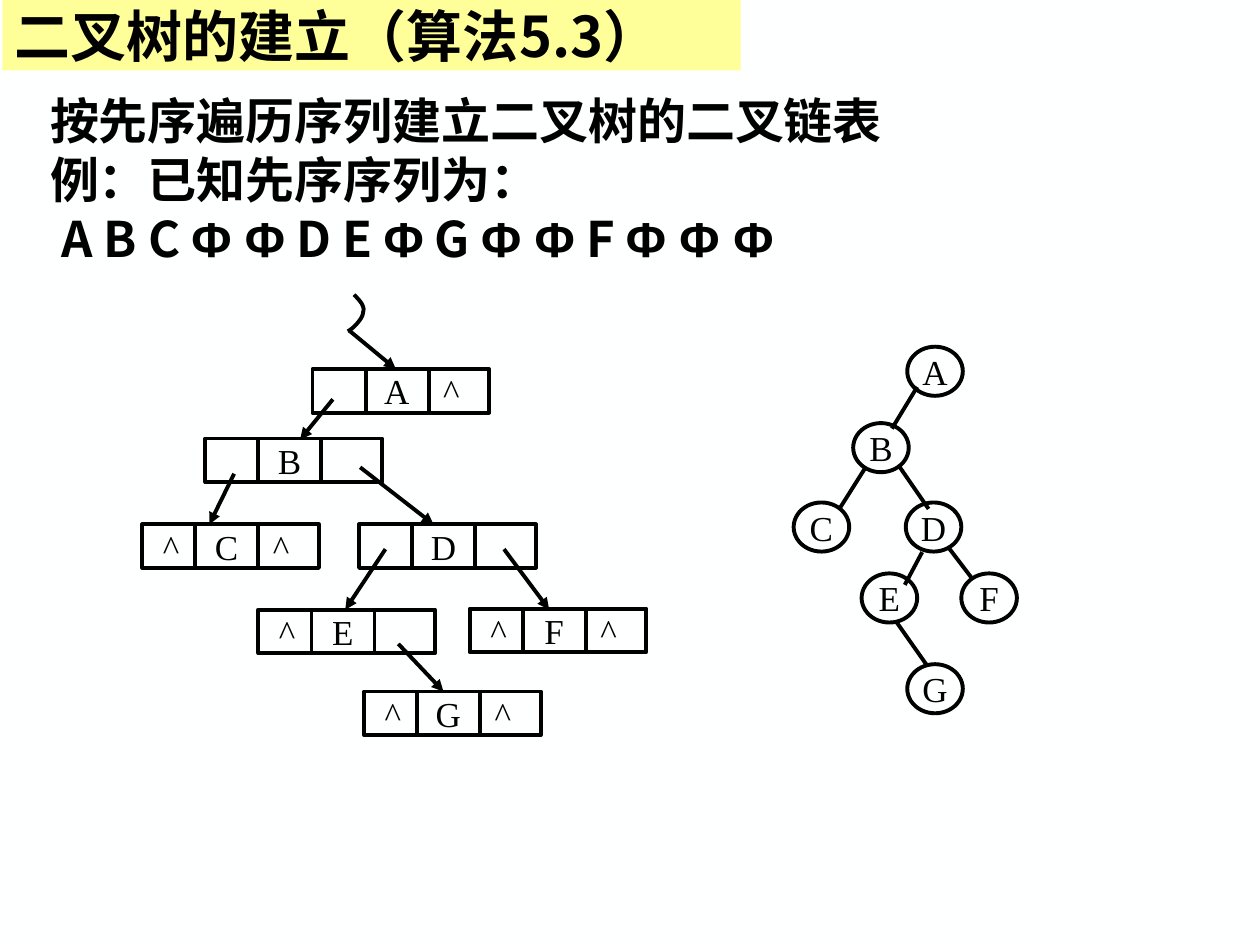
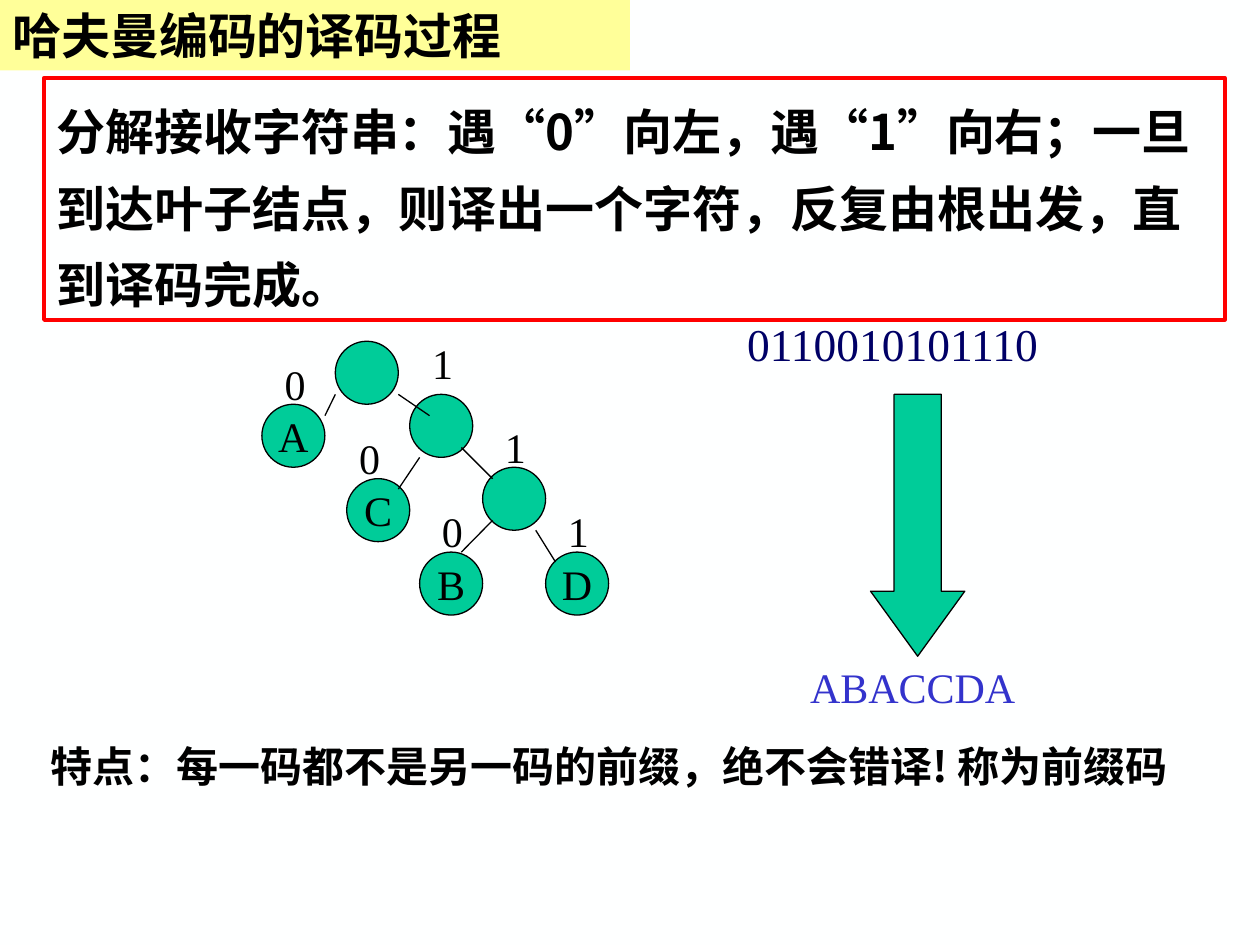
import itertools

import lxml.etree
import pptx
import pptx.dml.color
import pptx.enum.shapes
import pptx.enum.text
import pptx.oxml.ns
import pptx.util

Cm = pptx.util.Cm
Pt = pptx.util.Pt
RGBColor = pptx.dml.color.RGBColor
ALIGN = pptx.enum.text.PP_ALIGN
ANCHOR = pptx.enum.text.MSO_ANCHOR
SHAPE = pptx.enum.shapes.MSO_SHAPE
qn = pptx.oxml.ns.qn

BACKGROUND = RGBColor(0xFE, 0xFF, 0xFF)
BLACK = RGBColor(0, 0, 0)
BAND = RGBColor(0xFF, 0xFF, 0x99)
GREEN = RGBColor(0x00, 0xCC, 0x99)
RED = RGBColor(0xFF, 0, 0)
NAVY = RGBColor(0, 0, 0x66)
BLUE = RGBColor(0x33, 0x33, 0xCC)

CHINESE = "Noto Sans CJK SC"
SERIF = "Times New Roman"
SYMBOL = "Arial"
THICK, THIN = 2.25, 0.75

# All positions and sizes are in centimetres.
BAND_HEIGHT = 1.42

BUILD_TITLE = "二叉树的建立（算法5.3）"
BUILD_TEXT = [
    ("按先序遍历序列建立二叉树的二叉链表\v例：已知先序序列为：\v A B C ", None),
    ("Φ Φ", SYMBOL), (" D E ", None), ("Φ", SYMBOL), (" G ", None),
    ("Φ Φ", SYMBOL), (" F ", None), ("Φ Φ Φ", SYMBOL),
]
TREE_NODE_SIZE = (1.12, 0.99)
TREE_NODES = {
    "A": (18.29, 6.99), "B": (17.2, 8.53), "C": (16, 10.13), "D": (18.26, 10.13),
    "E": (17.37, 11.56), "F": (19.38, 11.56), "G": (18.29, 13.39),
}
TREE_EDGES = [
    (18.49, 7.8, 17.98, 8.64), (17.45, 9.42, 16.92, 10.26),
    (18.14, 9.42, 18.72, 10.26), (18.59, 11.13, 18.24, 11.79),
    (19.13, 11.05, 19.61, 11.68), (18.08, 12.55, 18.67, 13.39),
]

RECORD_SIZE = (3.56, 0.88)
RECORD_DIVIDERS = (1.07, 2.34)
FIELD_CENTRES = (0.58, 1.7, 2.8)
RECORDS = [  # left, top, fields
    (6.3, 7.44, ("", "A", "^")),
    (4.14, 8.84, ("", "B", "")),
    (2.87, 10.57, ("^", "C", "^")),
    (7.24, 10.57, ("", "D", "")),
    (5.21, 12.29, ("^", "E", "")),
    (9.47, 12.27, ("^", "F", "^")),
    (7.34, 13.94, ("^", "G", "^")),
]
POINTERS = [
    (7.06, 6.68, 7.98, 7.44), (6.71, 8.05, 6.05, 8.86),
    (4.72, 9.55, 4.22, 10.57), (7.26, 9.42, 8.74, 10.57),
    (7.77, 11.07, 6.96, 12.29), (10.16, 11.07, 11.07, 12.29),
    (8.03, 12.98, 8.94, 13.94),
]
ROOT_CURL = [
    ((7.14, 5.94), (7.24, 6.05), (7.37, 6.17), (7.32, 6.3)),
    ((7.32, 6.3), (7.32, 6.43), (7.09, 6.65), (7.01, 6.68)),
]

DECODE_TITLE = "哈夫曼编码的译码过程"
DECODE_RULE = ("分解接收字符串：遇“0”向左，遇“1”向右；一旦到达叶子结点，"
               "则译出一个字符，反复由根出发，直到译码完成。")
DECODE_NOTE = "特点：每一码都不是另一码的前缀，绝不会错译! 称为前缀码"
CODE_NODE_SIZE = (1.27, 1.27)
CODE_NODES = [
    ("", 6.76, 6.88), ("", 8.26, 7.95), ("", 9.73, 9.42), ("A", 5.28, 8.15),
    ("C", 6.99, 9.65), ("B", 8.46, 11.13), ("D", 11, 11.13),
]
CODE_EDGES = [
    (6.76, 7.95, 6.55, 8.38), (8.03, 7.95, 8.66, 8.38), (8.46, 9.22, 8.03, 9.86),
    (9.93, 10.49, 9.3, 11.13), (10.8, 10.69, 11.2, 11.33), (9.3, 9.02, 9.93, 9.65),
]
BIT_SIZE = (1.47, 1.27)
BITS = [
    ("0", 5.49, 7.11), ("0", 6.99, 8.59), ("0", 8.66, 10.06),
    ("1", 8.46, 6.68), ("1", 9.93, 8.38), ("1", 11.2, 10.06),
]


def add_slide(presentation, title, title_size, band_left, band_width):
    slide = presentation.slides.add_slide(presentation.slide_layouts[6])
    slide.background.fill.solid()
    slide.background.fill.fore_color.rgb = BACKGROUND
    band = add_box(slide, SHAPE.RECTANGLE, band_left, 0, band_width, BAND_HEIGHT, fill=BAND)
    band.text_frame.vertical_anchor = ANCHOR.MIDDLE
    write(band, [(title, None)], title_size, CHINESE)
    return slide


def add_box(slide, preset, left, top, width, height, fill=None, line=None, weight=THIN):
    shape = slide.shapes.add_shape(preset, Cm(left), Cm(top), Cm(width), Cm(height))
    style(shape, fill, line, weight)
    return shape


def style(shape, fill, line, weight):
    shape.shadow.inherit = False
    if fill is None:
        shape.fill.background()
    else:
        shape.fill.solid()
        shape.fill.fore_color.rgb = fill
    if line is None:
        shape.line.fill.background()
    else:
        shape.line.color.rgb = line
        shape.line.width = Pt(weight)


def add_text(slide, runs, left, top, width, height, size, font, color=BLACK):
    box = slide.shapes.add_textbox(Cm(left), Cm(top), Cm(width), Cm(height))
    write(box, runs, size, font, color)


def write(shape, runs, size, font, color=BLACK, alignment=ALIGN.LEFT, tabs=()):
    """Fill the first paragraph with (text, font override) runs; Chinese text is bold."""
    shape.text_frame.word_wrap = True
    paragraph = shape.text_frame.paragraphs[0]
    paragraph.alignment = alignment
    properties = paragraph._p.get_or_add_pPr()
    if tabs:
        tab_list = lxml.etree.SubElement(properties, qn("a:tabLst"))
        for position in tabs:
            lxml.etree.SubElement(tab_list, qn("a:tab"), pos=str(Cm(position)), algn="ctr")
    paragraph.font.size = Pt(size)
    paragraph.font.bold = font == CHINESE
    paragraph.font.color.rgb = color
    paragraph.font.name = font
    lxml.etree.SubElement(properties.find(qn("a:defRPr")), qn("a:ea"), typeface=font)
    for text, override in runs:
        for index, part in enumerate(text.split("\v")):
            if index:
                paragraph.add_line_break()
            run = paragraph.add_run()
            run.text = part
            if override:
                run.font.name = override
    return paragraph


def remove_insets(shape):
    frame = shape.text_frame
    frame.margin_left = frame.margin_right = frame.margin_top = frame.margin_bottom = 0
    frame.vertical_anchor = ANCHOR.MIDDLE


def add_node(slide, letter, left, top, node_size, text_size, fill, weight):
    node = add_box(slide, SHAPE.OVAL, left, top, *node_size, fill, BLACK, weight)
    if letter:
        remove_insets(node)
        write(node, [(letter, None)], text_size, SERIF, alignment=ALIGN.CENTER)


def add_line(slide, ends, weight, arrow=False):
    line = slide.shapes.add_connector(
        pptx.enum.shapes.MSO_CONNECTOR.STRAIGHT, *(Cm(value) for value in ends))
    line.line.color.rgb = BLACK
    line.line.width = Pt(weight)
    if arrow:
        lxml.etree.SubElement(line.line._get_or_add_ln(), qn("a:tailEnd"), type="triangle")
    lxml.etree.SubElement(line._element.spPr, qn("a:effectLst"))


def add_record(slide, left, top, fields):
    width, height = RECORD_SIZE
    record = add_box(slide, SHAPE.RECTANGLE, left, top, width, height, None, BLACK, THICK)
    remove_insets(record)
    text = "".join("\t" + field for field in fields).rstrip()
    write(record, [(text, None)], 20, SERIF, tabs=FIELD_CENTRES)
    for offset in RECORD_DIVIDERS:
        add_line(slide, (left + offset, top, left + offset, top + height), THICK)


def bezier_point(curve, t):
    weights = ((1 - t) ** 3, 3 * t * (1 - t) ** 2, 3 * t * t * (1 - t), t ** 3)
    return tuple(Cm(sum(weight * point[axis] for weight, point in zip(weights, curve)))
                 for axis in (0, 1))


def add_curl(slide, curves, steps=10):
    points = [bezier_point(curve, step / steps)
              for curve, step in itertools.product(curves, range(steps + 1))]
    builder = slide.shapes.build_freeform(*points[0])
    builder.add_line_segments(points[1:], close=False)
    style(builder.convert_to_shape(), None, BLACK, THICK)


def build_tree_slide(presentation):
    slide = add_slide(presentation, BUILD_TITLE, 32, 0.05, 14.88)
    add_text(slide, BUILD_TEXT, 0.76, 1.7, 23.95, 3.81, 28, CHINESE)
    for letter, (left, top) in TREE_NODES.items():
        add_node(slide, letter, left, top, TREE_NODE_SIZE, 20, None, THICK)
    for edge in TREE_EDGES:
        add_line(slide, edge, THICK)
    for record in RECORDS:
        add_record(slide, *record)
    add_curl(slide, ROOT_CURL)
    for pointer in POINTERS:
        add_line(slide, pointer, THICK, arrow=True)


def build_decoding_slide(presentation):
    slide = add_slide(presentation, DECODE_TITLE, 28, 0, 12.7)
    rule = add_box(slide, SHAPE.RECTANGLE, 0.89, 1.57, 23.8, 4.88, None, RED, THICK)
    rule.text_frame.vertical_anchor = ANCHOR.TOP
    write(rule, [(DECODE_RULE, None)], 28, CHINESE).line_spacing = 1.3

    arrow = add_box(slide, SHAPE.DOWN_ARROW, 17.55, 7.95, 1.9, 5.28, GREEN, BLACK)
    arrow.adjustments[0] = 0.5
    arrow.adjustments[1] = 0.69
    add_text(slide, [("0110010101110", None)], 14.81, 6.25, 6.99, 1.37, 26, SERIF, NAVY)
    add_text(slide, [("ABACCDA", None)], 16.08, 13.21, 5.51, 1.27, 24, SERIF, BLUE)

    for letter, left, top in CODE_NODES:
        add_node(slide, letter, left, top, CODE_NODE_SIZE, 24, GREEN, THIN)
    for edge in CODE_EDGES:
        add_line(slide, edge, THIN)
    for bit, left, top in BITS:
        add_text(slide, [(bit, None)], left, top, *BIT_SIZE, 24, SERIF)
    add_text(slide, [(DECODE_NOTE, None)], 0.76, 14.81, 23.39, 1.27, 24, CHINESE)


def main():
    presentation = pptx.Presentation()
    presentation.slide_width = Cm(25.4)
    presentation.slide_height = Cm(19.05)
    build_tree_slide(presentation)
    build_decoding_slide(presentation)
    presentation.save("out.pptx")


if __name__ == "__main__":
    main()
